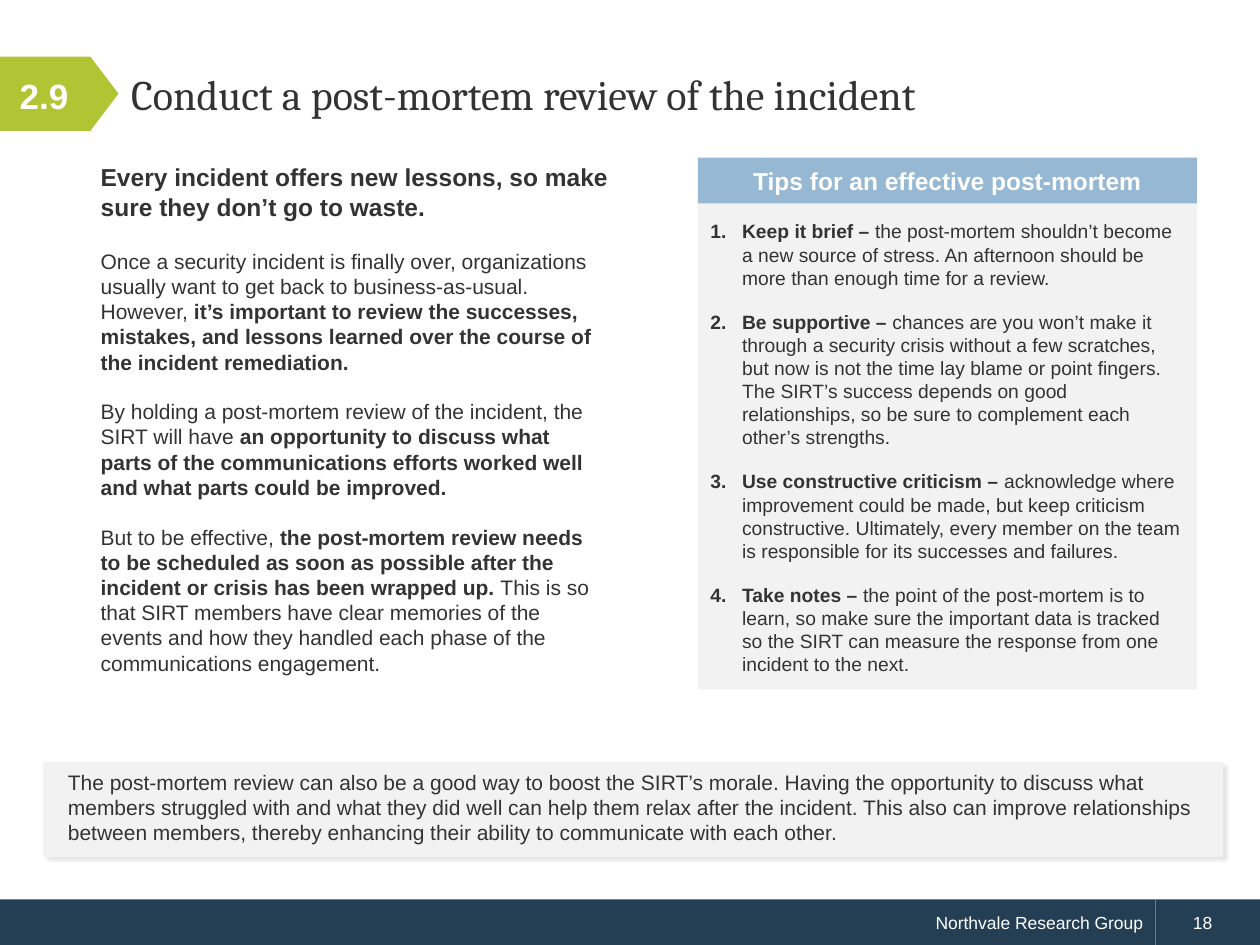
"""Build the slide on holding a post-mortem review after an incident."""
from dataclasses import dataclass

from lxml import etree
from pptx import Presentation
from pptx.dml.color import RGBColor
from pptx.enum.shapes import MSO_SHAPE
from pptx.enum.text import MSO_ANCHOR, PP_ALIGN
from pptx.oxml import parse_xml
from pptx.oxml.ns import nsdecls, qn
from pptx.util import Cm, Pt

RECT, TAG = MSO_SHAPE.RECTANGLE, MSO_SHAPE.PENTAGON
TOP, MIDDLE = MSO_ANCHOR.TOP, MSO_ANCHOR.MIDDLE
LEFT, CENTER, RIGHT = PP_ALIGN.LEFT, PP_ALIGN.CENTER, PP_ALIGN.RIGHT
PLAIN, BOLD, MIXED, LABEL = (False, False), (True, True), (False, True), (True, False)


@dataclass(frozen=True)
class Theme:
    ink: RGBColor = RGBColor.from_string("333333")
    white: RGBColor = RGBColor.from_string("FFFFFF")
    navy: RGBColor = RGBColor.from_string("243F54")
    green: RGBColor = RGBColor.from_string("B0C534")
    blue: RGBColor = RGBColor.from_string("96B8D2")
    pale: RGBColor = RGBColor.from_string("F2F2F2")
    serif: str = "Cambria"
    sans: str = "Arial"
    title: int = 24
    mark: int = 20
    head: int = 14
    body: int = 12
    tip: int = 11
    foot: int = 10


theme = Theme()
deck = Presentation()
deck.slide_width, deck.slide_height = Cm(25.4), Cm(19.05)
slide = deck.slides.add_slide(deck.slide_layouts[5])


def place(left, top, width, height, fill=None, kind=RECT):
    """Add a filled shape, or a text box when there is no fill."""
    area = Cm(left), Cm(top), Cm(width), Cm(height)
    if fill is None:
        return slide.shapes.add_textbox(*area)
    shape = slide.shapes.add_shape(kind, *area)
    shape.shadow.inherit = False
    shape.fill.solid()
    shape.fill.fore_color.rgb = fill
    shape.line.fill.background()
    return shape


def write(shape, lines, size, color, bolds=PLAIN, align=LEFT, anchor=TOP,
          after=0, font=theme.sans):
    """Write paragraphs whose runs, split at bars, alternate in weight."""
    frame = shape.text_frame
    frame.word_wrap = True
    frame.vertical_anchor = anchor
    for row, line in enumerate(lines):
        para = frame.add_paragraph() if row else frame.paragraphs[0]
        first, *rest = line.split("|")
        para.text = first
        for part in rest:
            para.add_run().text = part
        para.alignment = align
        para.space_after = Pt(after)
        for spot, run in enumerate(para.runs):
            run.font.name = font
            run.font.size = Pt(size)
            run.font.bold = bolds[spot % 2]
            run.font.color.rgb = color


group = place(0, 18.13, 23.29, 0.92, theme.navy)
write(group, ["Northvale Research Group"], theme.foot, theme.white,
      align=RIGHT, anchor=MIDDLE)
page = place(23.29, 18.13, 2.11, 0.92, theme.navy)
write(page, ["18"], theme.foot, theme.white, anchor=MIDDLE)
page.text_frame.margin_left = Cm(0.76)

tag = place(0, 1.14, 2.39, 1.5, theme.green, TAG)
tag.adjustments[0] = 0.38
mark = place(0, 0.69, 1.78, 2.49)
write(mark, ["2.9"], theme.mark, theme.white, BOLD, CENTER, MIDDLE)

title = slide.shapes.title
title.left, title.top, title.width, title.height = Cm(2.39), Cm(0.74), Cm(22.25), Cm(2.39)
write(title, ["Conduct a post-mortem review of the incident"], theme.title,
      theme.ink, anchor=MIDDLE, font=theme.serif)
title.text_frame.paragraphs[0].line_spacing = Pt(26)

lead = place(1.78, 3.15, 12.29, 1.45)
write(lead, ["Every incident offers new lessons, so make \vsure they don’t go to waste."],
      theme.head, theme.ink, BOLD)

story = place(1.78, 4.88, 10.54, 10.52)
write(story, [
    "Once a security incident is finally over, organizations usually want to get back "
    "to business-as-usual. However,| it’s important to review the successes, mistakes, "
    "and lessons learned over the course of the incident remediation.",
    "By holding a post-mortem review of the incident, the SIRT will have |an opportunity "
    "to discuss what parts of the communications efforts worked well and what parts "
    "could be improved.",
    "But to be effective, |the post-mortem review needs to be scheduled as soon as "
    "possible after the incident or crisis has been wrapped up.| This is so that SIRT "
    "members have clear memories of the events and how they handled each phase of the "
    "communications engagement.",
], theme.body, theme.ink, MIXED, after=14)

note = place(0.91, 15.39, 23.72, 1.85, theme.pale)
note.line.color.rgb = theme.pale
note.line.width = Pt(2)
write(note, [
    "The post-mortem review can also be a good way to boost the SIRT’s morale. Having "
    "the opportunity to discuss what members struggled with and what they did well can "
    "help them relax after the incident. This also can improve relationships between "
    "members, thereby enhancing their ability to communicate with each other.",
], theme.body, theme.ink)
note.text_frame.margin_left = Cm(0.46)
glow = note._element.spPr.find(qn("a:effectLst"))
glow.append(parse_xml(
    f'<a:outerShdw {nsdecls("a")} blurRad="{Pt(2)}" dist="{Pt(2)}" dir="2700000">'
    '<a:srgbClr val="000000"><a:alpha val="10000"/></a:srgbClr></a:outerShdw>'))

head = place(14.07, 3.18, 10.06, 0.93, theme.blue)
write(head, ["Tips for an effective post-mortem"], theme.head, theme.white,
      BOLD, CENTER, MIDDLE)
tips = place(14.07, 4.1, 10.06, 9.8, theme.pale)
write(tips, [
    "Keep it brief –| the post-mortem shouldn’t become a new source of stress. An "
    "afternoon should be more than enough time for a review.",
    "Be supportive – |chances are you won’t make it through a security crisis without a "
    "few scratches, but now is not the time lay blame or point fingers. The SIRT’s "
    "success depends on good relationships, so be sure to complement each other’s "
    "strengths.",
    "Use constructive criticism – |acknowledge where improvement could be made, but keep "
    "criticism constructive. Ultimately, every member on the team is responsible for "
    "its successes and failures.",
    "Take notes –| the point of the post-mortem is to learn, so make sure the important "
    "data is tracked so the SIRT can measure the response from one incident to the next.",
], theme.tip, theme.ink, LABEL, after=12)
tips.text_frame.margin_top = Cm(0.33)
for para in tips.text_frame.paragraphs:
    props = para._p.get_or_add_pPr()
    props.set("marL", str(Cm(0.64)))
    props.set("indent", str(-Cm(0.64)))
    etree.SubElement(props, qn("a:buFont"), typeface=theme.sans)
    etree.SubElement(props, qn("a:buAutoNum"), type="arabicPeriod")

deck.save("out.pptx")
